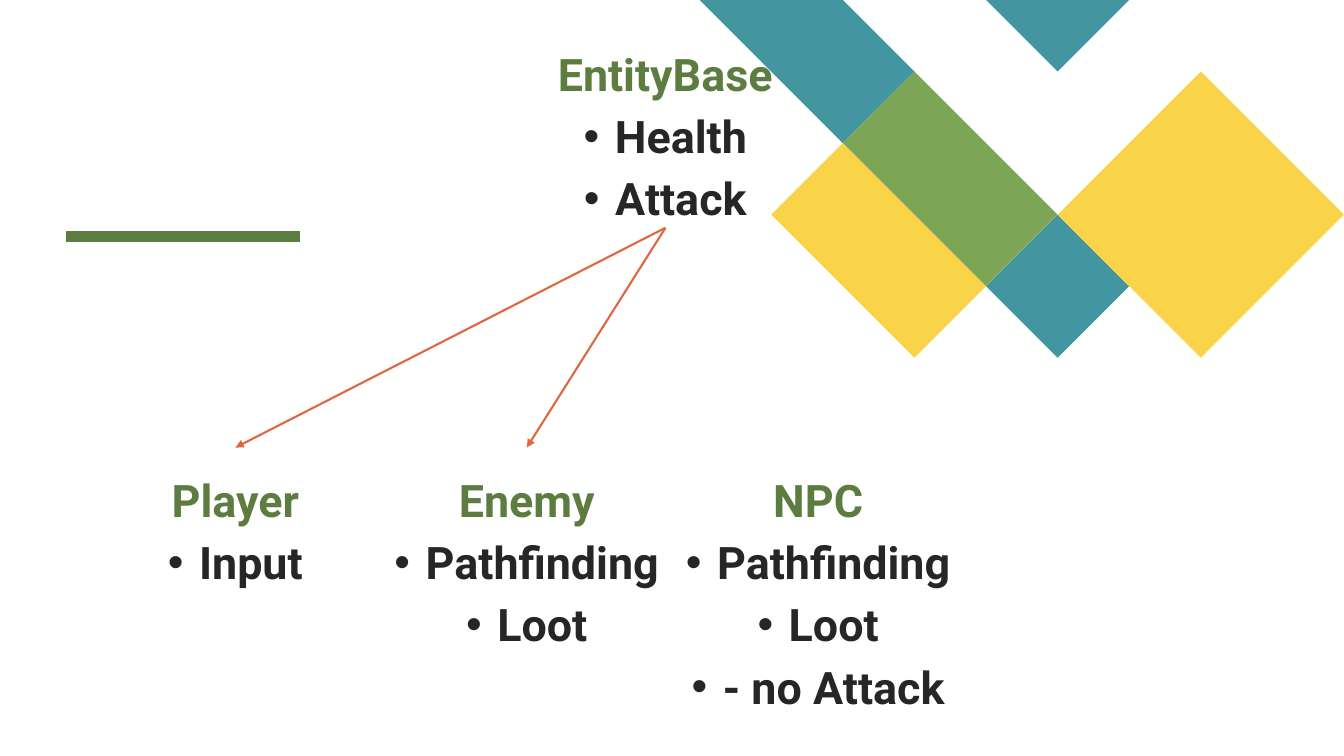
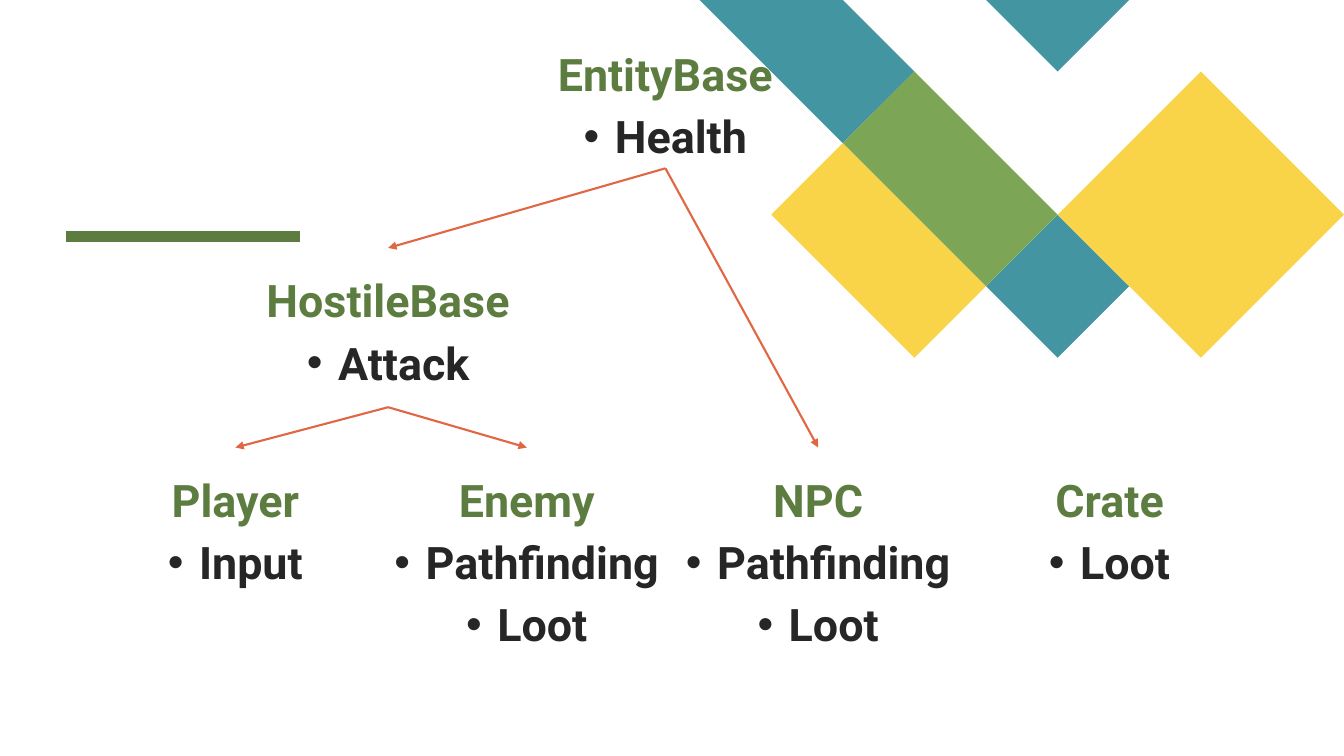
from dataclasses import dataclass

from lxml.etree import SubElement
from pptx import Presentation
from pptx.dml.color import RGBColor
from pptx.enum.shapes import MSO_CONNECTOR as Connector
from pptx.enum.text import MSO_ANCHOR as Anchor, MSO_AUTO_SIZE as AutoSize, PP_ALIGN as Align
from pptx.oxml.ns import qn
from pptx.shapes.base import BaseShape
from pptx.slide import Slide
from pptx.util import Inches, Pt

COLORS = {
    "teal": "4495A2",
    "yellow": "F9D448",
    "leaf": "7CA655",
    "heading": "5D7D40",
    "body": "262626",
    "arrow": "E06742",
}
FONT = "Roboto"
SLIDE_WIDTH, SLIDE_HEIGHT = 13.33, 7.5
GRID_STEP = 0.71
GRID_LEFT = SLIDE_WIDTH - 9 * GRID_STEP
LEAF_LEFT, LEAF_TOP, LEAF_PITCH = 0.96, 4.44, 2.89
LEAF_WIDTH, LEAF_HEIGHT = 2.75, 2.66
BASE_WIDTH = 2.48
BULLET_INDENT = 0.31


@dataclass(frozen=True)
class Tile:
    color: str
    corners: tuple[tuple[int, int], ...]


@dataclass(frozen=True)
class Entity:
    name: str
    traits: tuple[str, ...]
    left: float
    top: float
    width: float
    height: float

    @property
    def center(self) -> float:
        return self.left + self.width / 2


@dataclass(frozen=True)
class Hierarchy:
    root: Entity
    others: tuple[Entity, ...]
    links: tuple[tuple[Entity, Entity], ...]


TILES = (
    Tile("teal", ((0, 0), (2, 0), (3, 1), (2, 2))),
    Tile("teal", ((5, 3), (6, 4), (5, 5), (4, 4))),
    Tile("yellow", ((2, 2), (1, 3), (3, 5), (4, 4))),
    Tile("teal", ((4, 0), (6, 0), (5, 1))),
    Tile("leaf", ((3, 1), (2, 2), (4, 4), (5, 3))),
    Tile("yellow", ((9, 3), (7, 1), (5, 3), (7, 5))),
)


def rgb(name: str) -> RGBColor:
    return RGBColor.from_string(COLORS[name])


def root_entity(height: float, *traits: str) -> Entity:
    return Entity("EntityBase", traits, 5.36, 0.21, BASE_WIDTH, height)


def leaf_entity(column: int, name: str, *traits: str) -> Entity:
    left = LEAF_LEFT + column * LEAF_PITCH
    return Entity(name, traits, left, LEAF_TOP, LEAF_WIDTH, LEAF_HEIGHT)


def add_tile(page: Slide, tile: Tile) -> None:
    points = [
        (Inches(GRID_LEFT + column * GRID_STEP), Inches(row * GRID_STEP))
        for column, row in tile.corners
    ]
    builder = page.shapes.build_freeform(*points[0])
    builder.add_line_segments(points[1:], close=True)
    shape = builder.convert_to_shape()
    shape.shadow.inherit = False
    shape.fill.solid()
    shape.fill.fore_color.rgb = rgb(tile.color)
    shape.line.fill.background()


def add_line(
    page: Slide,
    start: tuple[float, float],
    end: tuple[float, float],
    color: str,
    width: float,
    arrow: bool = False,
) -> None:
    line = page.shapes.add_connector(
        Connector.STRAIGHT, *(Inches(value) for value in (*start, *end))
    )
    line.line.color.rgb = rgb(color)
    line.line.width = Pt(width)
    properties = line.element.spPr
    if arrow:
        SubElement(properties.find(qn("a:ln")), qn("a:tailEnd"), type="triangle")
    SubElement(properties, qn("a:effectLst"))


def add_paragraph(box: BaseShape, text: str, first: bool) -> None:
    frame = box.text_frame
    para = frame.paragraphs[0] if first else frame.add_paragraph()
    properties = para._p.get_or_add_pPr()
    indent = 0 if first else Inches(BULLET_INDENT)
    properties.set("marL", str(indent))
    properties.set("indent", str(-indent))
    if first:
        SubElement(properties, qn("a:buNone"))
    else:
        SubElement(properties, qn("a:buFont"), typeface="Arial")
        SubElement(properties, qn("a:buChar"), char="•")
    para.alignment = Align.CENTER
    para.space_before = Pt(0 if first else 6)
    span = para.add_run()
    span.text = text
    span.font.name = FONT
    span.font.size = Pt(32)
    span.font.bold = True
    span.font.color.rgb = rgb("heading" if first else "body")


def fill_entity(box: BaseShape, entity: Entity) -> None:
    box.left, box.top = Inches(entity.left), Inches(entity.top)
    box.width, box.height = Inches(entity.width), Inches(entity.height)
    frame = box.text_frame
    frame.word_wrap = True
    frame.auto_size = AutoSize.NONE
    frame.vertical_anchor = Anchor.TOP
    frame.margin_left = frame.margin_right = frame.margin_bottom = 0
    frame.margin_top = Inches(0.25)
    for index, text in enumerate((entity.name, *entity.traits)):
        add_paragraph(box, text, index == 0)


def add_hierarchy(deck: Presentation, hierarchy: Hierarchy) -> None:
    page = deck.slides.add_slide(deck.slide_layouts.get_by_name("Title and Content"))
    title, body = page.placeholders
    tree = title.element.getparent()
    tree.remove(title.element)
    for tile in TILES:
        add_tile(page, tile)
    add_line(page, (0.65, 2.35), (2.98, 2.35), "heading", 8)
    tree.append(body.element)
    fill_entity(body, hierarchy.root)
    for entity in hierarchy.others:
        fill_entity(page.shapes.add_textbox(0, 0, 0, 0), entity)
    for parent, child in hierarchy.links:
        start = (parent.center, parent.top + parent.height)
        add_line(page, start, (child.center, child.top), "arrow", 1.5, arrow=True)


def main() -> None:
    deck = Presentation()
    deck.slide_width, deck.slide_height = Inches(SLIDE_WIDTH), Inches(SLIDE_HEIGHT)

    player = leaf_entity(0, "Player", "Input")
    enemy = leaf_entity(1, "Enemy", "Pathfinding", "Loot")
    npc = leaf_entity(2, "NPC", "Pathfinding", "Loot")
    peaceful_npc = leaf_entity(2, "NPC", "Pathfinding", "Loot", "- no Attack")
    crate = leaf_entity(3, "Crate", "Loot")
    hostile = Entity("HostileBase", ("Attack",), 2.61, 2.46, BASE_WIDTH, 1.58)
    fighting_root = root_entity(2.05, "Health", "Attack")
    living_root = root_entity(1.46, "Health")

    hierarchies = (
        Hierarchy(
            fighting_root,
            (player, enemy, peaceful_npc),
            ((fighting_root, player), (fighting_root, enemy)),
        ),
        Hierarchy(
            living_root,
            (player, enemy, npc, crate, hostile),
            (
                (living_root, hostile),
                (hostile, player),
                (hostile, enemy),
                (living_root, npc),
            ),
        ),
    )
    for hierarchy in hierarchies:
        add_hierarchy(deck, hierarchy)
    deck.save("out.pptx")


if __name__ == "__main__":
    main()
